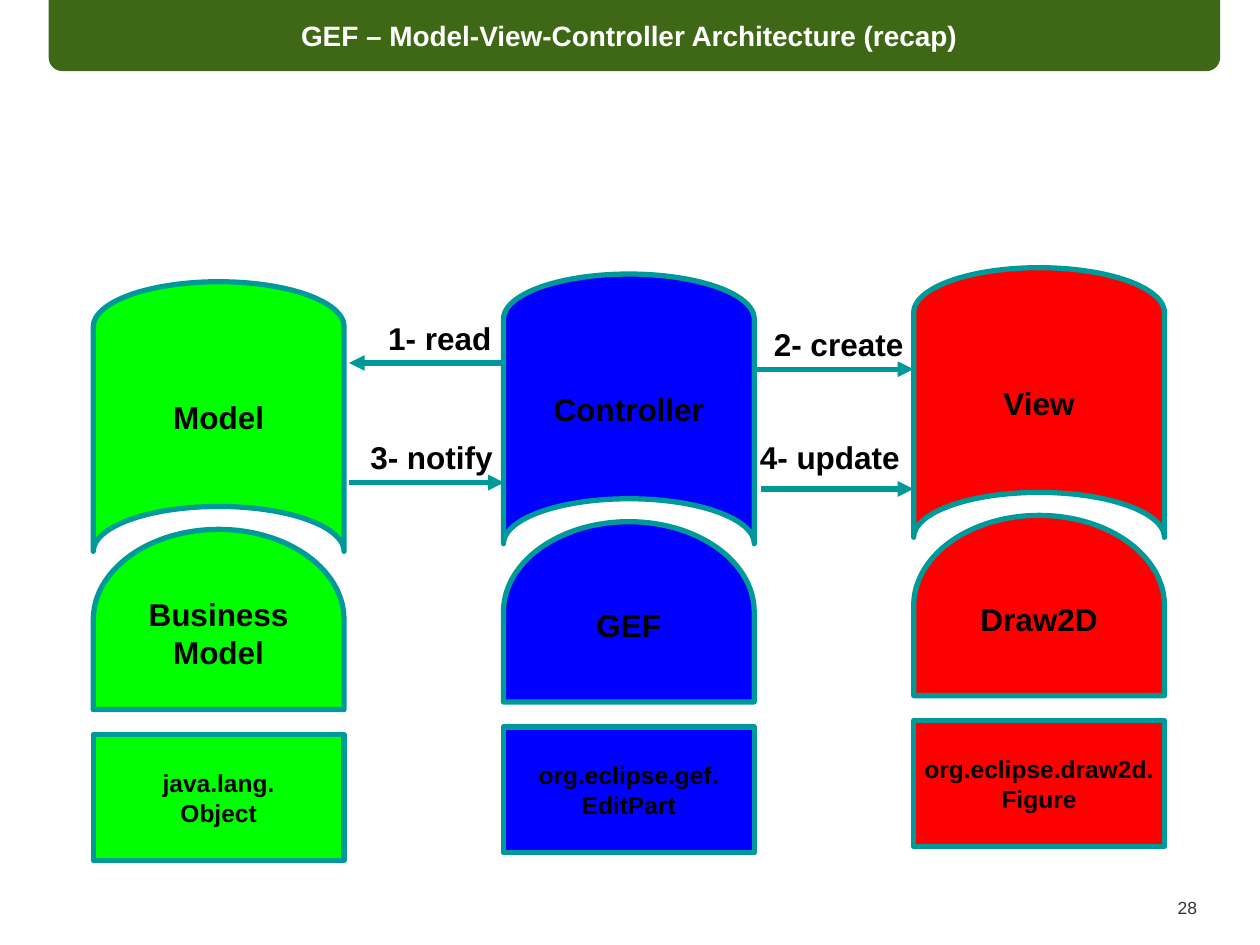
from pptx import Presentation
from pptx.util import Pt
from pptx.dml.color import RGBColor
from pptx.enum import shapes as sh, text as tx
from pptx.oxml.ns import qn
from lxml import etree

GREEN = RGBColor(0x00, 0xFF, 0x00)
BLUE = RGBColor(0x00, 0x00, 0xFF)
RED = RGBColor(0xFF, 0x00, 0x00)
TEAL = RGBColor(0x00, 0x99, 0x99)
OLIVE = RGBColor(0x3E, 0x68, 0x15)
BLACK = RGBColor(0x00, 0x00, 0x00)
WHITE = RGBColor(0xFF, 0xFF, 0xFF)
GREY = RGBColor(0x33, 0x33, 0x33)

KIND = sh.MSO_SHAPE
MID = tx.MSO_ANCHOR.MIDDLE
TOP = tx.MSO_ANCHOR.TOP
CENTER = tx.PP_ALIGN.CENTER
RIGHT = tx.PP_ALIGN.RIGHT

COL_W, PITCH = 143.3, 234.4


def write(shape, words, size, color=BLACK, bold=True, align=CENTER,
          anchor=MID, wrap=False, pad=(7.2, 3.6)):
    frame = shape.text_frame
    frame.text = words
    form = {"word_wrap": wrap, "vertical_anchor": anchor,
            "margin_left": Pt(pad[0]), "margin_right": Pt(pad[0]),
            "margin_top": Pt(pad[1]), "margin_bottom": Pt(pad[1])}
    for key, value in form.items():
        setattr(frame, key, value)
    font = {"name": "Arial", "size": Pt(size), "bold": bold}
    for para in frame.paragraphs:
        para.alignment = align
        for run in para.runs:
            for key, value in font.items():
                setattr(run.font, key, value)
            run.font.color.rgb = color


def block(slide, kind, box, fill, line=TEAL, width=3, turn=0):
    """Place a shape so that it fills the box once it is turned."""
    x, y, w, h = box
    if turn in (90, 270):
        x, y, w, h = x + (w - h) / 2, y + (h - w) / 2, h, w
    shape = slide.shapes.add_shape(kind, Pt(x), Pt(y), Pt(w), Pt(h))
    shape.rotation = turn
    shape.shadow.inherit = False
    shape.fill.solid()
    shape.fill.fore_color.rgb = fill
    shape.line.color.rgb = line
    shape.line.width = Pt(width)
    return shape


def label(slide, box, words, size, **form):
    area = slide.shapes.add_textbox(*map(Pt, box))
    write(area, words, size, **form)


def header(slide, box, words):
    x, y, w, h = box
    bar = block(slide, KIND.ROUND_2_SAME_RECTANGLE, box, OLIVE, OLIVE, 2, 180)
    bar.adjustments[0] = 0.17
    title = slide.shapes.title
    title.element.addprevious(bar.element)
    place = {"left": x + 47.5, "top": y, "width": w - 100.8, "height": h + 0.7}
    for key, value in place.items():
        setattr(title, key, Pt(value))
    write(title, words, 16, WHITE, wrap=True)


def column(slide, x, y, fill, role, layer, base):
    # Role and layer shapes are turned, so their text is turned back
    parts = [
        (KIND.FLOWCHART_STORED_DATA, 0, 154.1, 90, "vert270", role),
        (KIND.FLOWCHART_DELAY, 141.5, 103, 270, "vert", layer),
    ]
    for kind, drop, h, turn, flow, words in parts:
        shape = block(slide, kind, (x, y + drop, COL_W, h), fill, turn=turn)
        write(shape, words, 18, pad=(3.6, 7.2))
        shape.text_frame._txBody.bodyPr.set("vert", flow)
    # Base class
    rect = block(slide, KIND.RECTANGLE, (x, y + 258.8, COL_W, 72), fill)
    write(rect, base, 14)


def arrow(slide, start, end, y):
    line = slide.shapes.add_connector(
        sh.MSO_CONNECTOR.STRAIGHT, Pt(start), Pt(y), Pt(end), Pt(y))
    line.line.color.rgb = TEAL
    line.line.width = Pt(3)
    stroke = line.line._get_or_add_ln()
    etree.SubElement(stroke, qn("a:tailEnd"), type="triangle")
    etree.SubElement(line.element.spPr, qn("a:effectLst"))


def main():
    deck = Presentation()
    deck.slide_width, deck.slide_height = Pt(720), Pt(540)
    slide = deck.slides.add_slide(deck.slide_layouts[5])

    header(slide, (28.8, 0, 667.4, 39.6),
           "GEF – Model-View-Controller Architecture (recap)")

    # Model, controller and view columns
    columns = [
        (161, GREEN, "Model", "Business\nModel", "java.lang.\nObject"),
        (156.6, BLUE, "Controller", "GEF", "org.eclipse.gef.\nEditPart"),
        (153, RED, "View", "Draw2D", "org.eclipse.draw2d.\nFigure"),
    ]
    for i, (y, *rest) in enumerate(columns):
        column(slide, 53.3 + i * PITCH, y, *rest)

    # Steps between the columns: arrow start, end, height; label box
    steps = [
        ("1- read", 288, 199.4, 207.4, (214.6, 178.6, 73.4, 28.8)),
        ("2- create", 432.7, 522, 211, (434.9, 182.2, 88.6, 28.8)),
        ("3- notify", 199.4, 288, 275.8, (204.5, 247, 84.2, 28.8)),
        ("4- update", 434.9, 522, 279.4, (427, 247, 94.3, 28.8)),
    ]
    for words, start, end, y, box in steps:
        arrow(slide, start, end, y)
        label(slide, box, words, 18, anchor=TOP)

    # Page number
    label(slide, (614.9, 512.6, 69.1, 15.8), "28", 10, color=GREY, bold=False,
          align=RIGHT, anchor=TOP, wrap=True, pad=(0, 0))

    deck.save("out.pptx")


if __name__ == "__main__":
    main()
